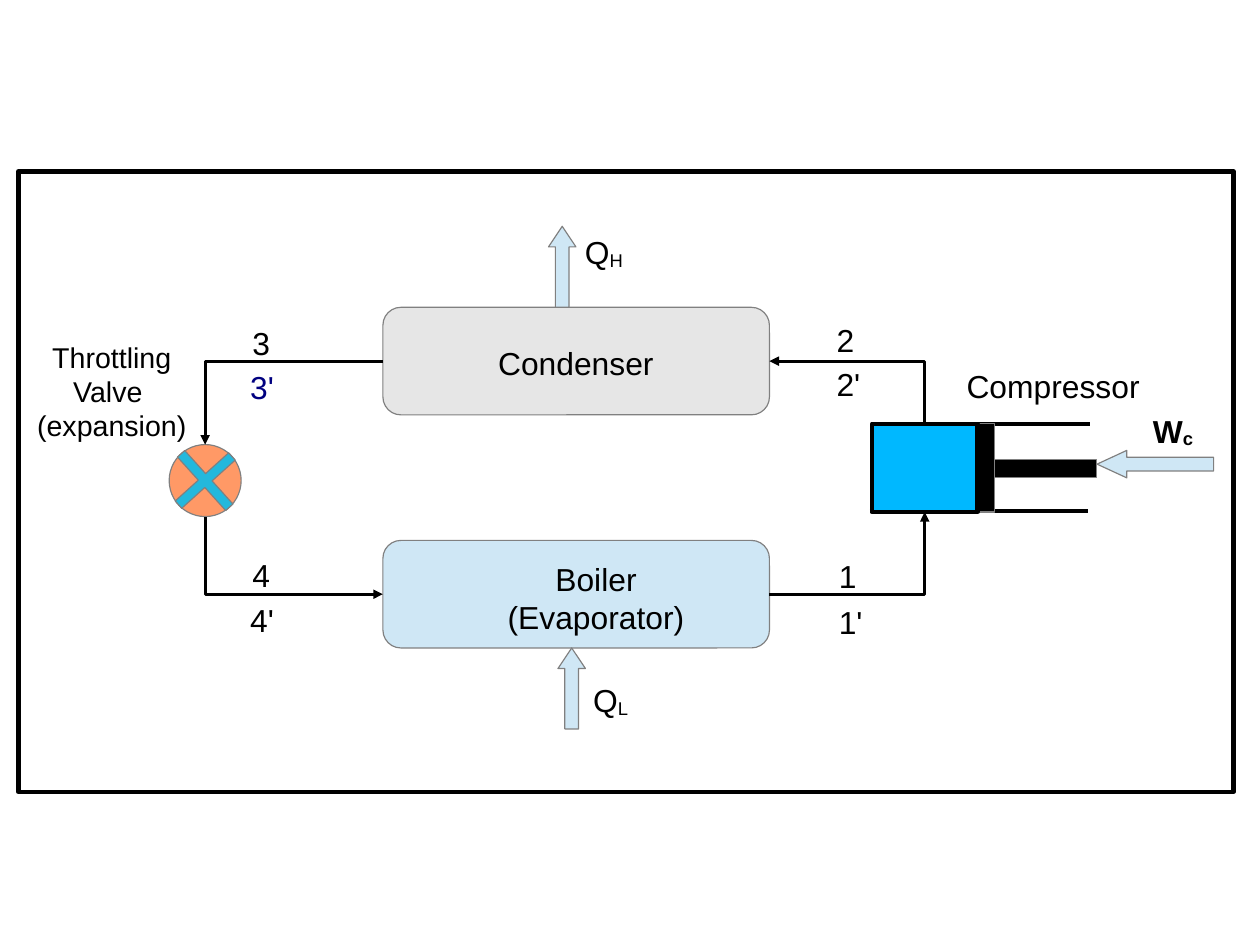
from lxml import etree
from pptx import Presentation
from pptx import util as u
from pptx.dml.color import RGBColor
from pptx.enum import shapes, text
from pptx.oxml.ns import qn

COLORS = {
    "black": "000000", "white": "FFFFFF", "outline": "808080", "grey": "E6E6E6",
    "pale": "CFE7F5", "gas": "00B8FF", "valve": "FF9966", "cross": "23B8DC",
    "navy": "000080",
}
TOP, LEFT, BOTTOM, RIGHT = range(4)
HAIRLINE, THICK = 0, 2.83
FORM = shapes.MSO_SHAPE


class Diagram:
    font = "Arial"

    def __init__(self, page):
        self.page = page

    def color(self, name):
        return RGBColor.from_string(COLORS[name])

    def shape(self, kind, frame, fill, line="outline", width=HAIRLINE, adjust=(), turn=0):
        shape = self.page.shapes.add_shape(kind, *map(u.Cm, frame))
        shape.shadow.inherit = False
        shape.fill.solid()
        shape.fill.fore_color.rgb = self.color(fill)
        shape.line.color.rgb = self.color(line)
        shape.line.width = u.Pt(width)
        shape.rotation = turn
        for index, value in enumerate(adjust):
            shape.adjustments[index] = value
        return shape

    def connector(self, kind, start, end, width):
        line = self.page.shapes.add_connector(kind, *map(u.Cm, (*start, *end)))
        line.line.color.rgb = self.color("black")
        line.line.width = u.Pt(width)
        etree.SubElement(line._element.spPr, qn("a:effectLst"))
        return line

    def wall(self, start, end):
        self.connector(shapes.MSO_CONNECTOR.STRAIGHT, start, end, THICK)

    def pipe(self, vessel, vessel_side, part, part_side, arrow):
        """Leave the vessel sideways, then turn once to reach the part."""
        pipe = self.connector(shapes.MSO_CONNECTOR.ELBOW, (0, 0), (0, 0), HAIRLINE)
        pipe.begin_connect(vessel, vessel_side)
        pipe.end_connect(part, part_side)
        if part.auto_shape_type == FORM.OVAL:  # an oval has eight connection sites
            pipe._element.find(".//" + qn("a:endCxn")).set("idx", str(part_side * 2))
        pipe._element.spPr.find(qn("a:prstGeom")).set("prst", "bentConnector2")
        etree.SubElement(pipe.line._get_or_add_ln(), qn("a:" + arrow), type="triangle")

    def label(self, frame, *lines, size=20, color="black", bold=False, subscript="",
              align=text.PP_ALIGN.LEFT):
        box = self.page.shapes.add_textbox(*map(u.Cm, frame))
        box.text_frame.word_wrap = True
        for index, line in enumerate(lines):
            paras = box.text_frame
            para = paras.add_paragraph() if index else paras.paragraphs[0]
            para.alignment = align
            for words, offset in ((line, 0), (subscript, -8000)):
                if not words:
                    continue
                span = para.add_run()
                span.text = words
                span.font.name = self.font
                span.font.size = u.Pt(size)
                span.font.bold = bold
                span.font.color.rgb = self.color(color)
                if offset:
                    span._r.get_or_add_rPr().set("baseline", str(offset))


def main():
    deck = Presentation()
    deck.slide_width, deck.slide_height = u.Cm(28), u.Cm(21)
    diagram = Diagram(deck.slides.add_slide(deck.slide_layouts[6]))
    center = text.PP_ALIGN.CENTER

    # Frame and heat exchangers
    diagram.shape(FORM.RECTANGLE, (0.41, 3.81, 27, 13.79), "white", "black", THICK)
    condenser, boiler = [
        diagram.shape(FORM.ROUNDED_RECTANGLE, (8.51, top, 8.59, 2.39), fill, adjust=[0.167])
        for top, fill in ((6.83, "grey"), (12.01, "pale"))
    ]
    diagram.label((10.82, 7.52, 4.39, 1.04), "Condenser")
    diagram.label((10.69, 12.32, 5.11, 1.83), "Boiler", "(Evaporator)", align=center)

    # Compressor
    diagram.wall((19.38, 9.42), (24.23, 9.42))
    diagram.wall((19.33, 11.35), (24.18, 11.35))
    diagram.wall((19.38, 9.42), (19.38, 11.35))
    diagram.shape(FORM.RECTANGLE, (22.1, 10.21, 2.26, 0.41), "black")
    diagram.shape(FORM.RECTANGLE, (21.72, 9.42, 0.38, 1.96), "black")
    cylinder = diagram.shape(FORM.RECTANGLE, (19.38, 9.42, 2.34, 1.96), "gas", "black", THICK)
    diagram.label((21.23, 8.03, 4.37, 1.04), "Compressor")

    # Throttling valve
    diagram.label((0.43, 7.42, 4.11, 2.39), "Throttling", "Valve ", "(expansion)",
                  size=18, align=center)
    valve_frame = (3.76, 9.88, 1.6, 1.6)
    valve = diagram.shape(FORM.OVAL, valve_frame, "valve")
    diagram.shape(FORM.CROSS, valve_frame, "cross", adjust=[0.432], turn=48)

    # Pipes
    diagram.pipe(condenser, LEFT, valve, TOP, "tailEnd")
    diagram.pipe(boiler, LEFT, valve, BOTTOM, "headEnd")
    diagram.pipe(boiler, RIGHT, cylinder, BOTTOM, "tailEnd")
    diagram.pipe(condenser, RIGHT, cylinder, TOP, "headEnd")

    # Work and heat flows
    diagram.shape(FORM.LEFT_ARROW, (24.38, 10.01, 2.59, 0.61), "pale", adjust=[0.5, 1.083])
    diagram.label((25.37, 9.02, 1.6, 1.27), "W", subscript="c", bold=True)
    for left, top in ((12.19, 5.03), (12.4, 14.4)):
        diagram.shape(FORM.UP_ARROW, (left, top, 0.61, 1.8), "pale", adjust=[0.5, 0.75])
    for left, top, subscript in ((12.75, 5.05, "H"), (12.93, 15.01, "L")):
        diagram.label((left, top, 1.68, 1.27), "Q", subscript=subscript)

    # State numbers
    for name, left, top, color in (
        ("3", 5.36, 7.06, "black"), ("4", 5.36, 12.22, "black"),
        ("1", 18.39, 12.24, "black"), ("2", 18.34, 7.01, "black"),
        ("3'", 5.31, 8.05, "navy"), ("4'", 5.31, 13.23, "black"),
        ("1'", 18.39, 13.26, "black"), ("2'", 18.34, 7.98, "black"),
    ):
        diagram.label((left, top, 0.89 if len(name) == 1 else 1.3, 1.04), name, color=color)

    deck.save("out.pptx")


if __name__ == "__main__":
    main()
